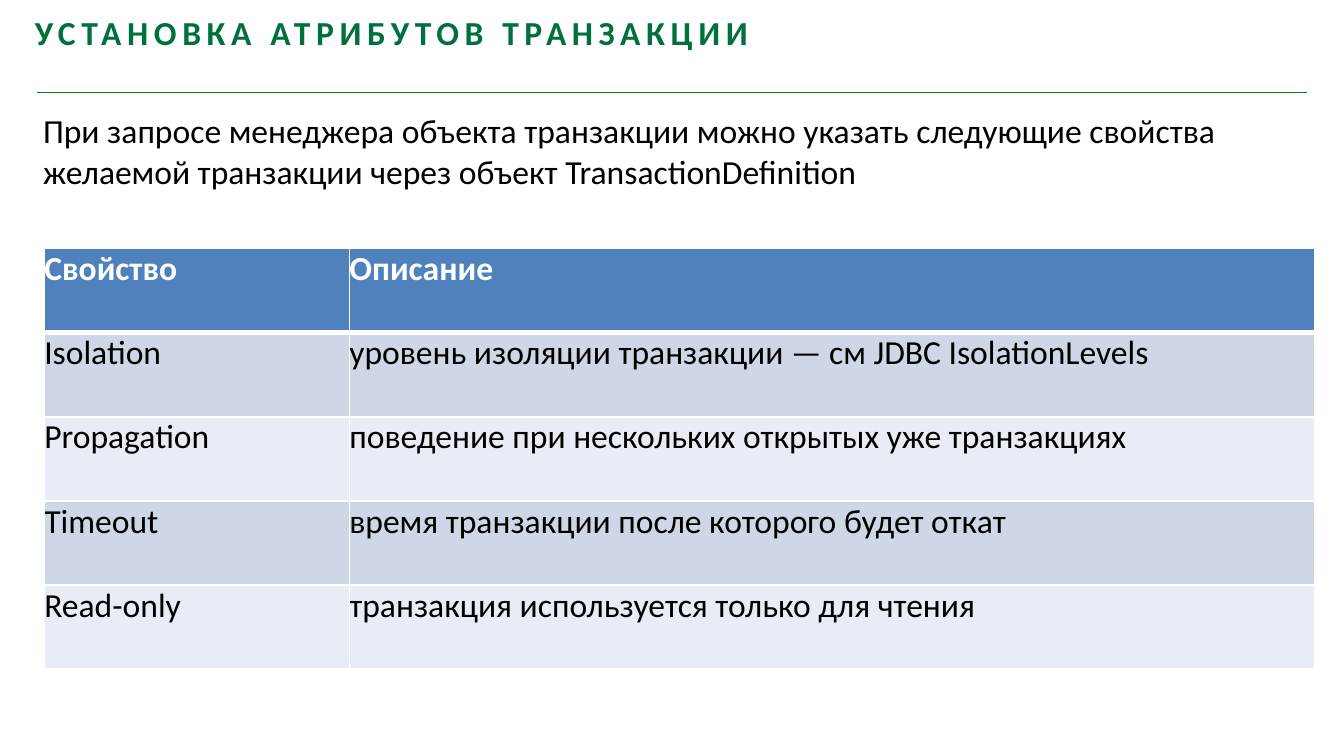
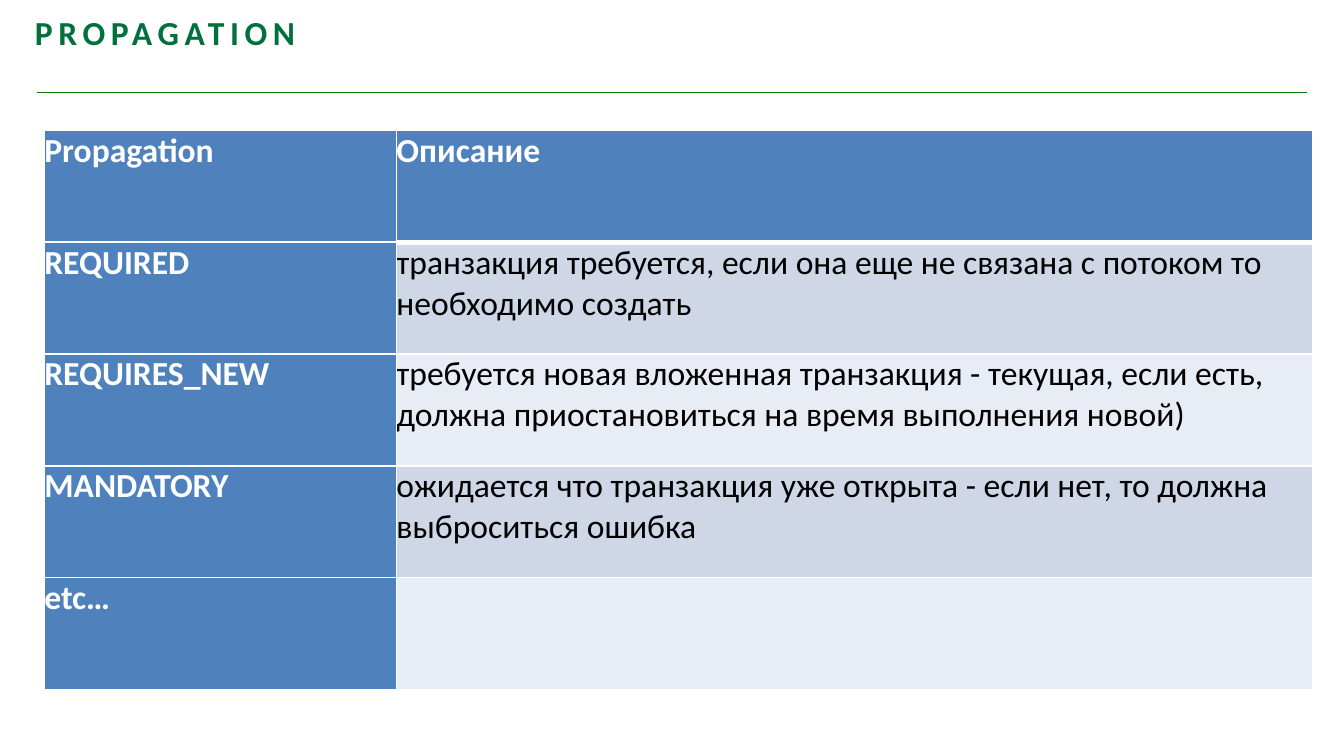
from lxml.etree import SubElement
from pptx import Presentation
from pptx.dml.color import RGBColor
from pptx.enum.shapes import MSO_CONNECTOR
from pptx.enum.text import MSO_ANCHOR, MSO_AUTO_SIZE, PP_ALIGN
from pptx.oxml.ns import qn
from pptx.util import Inches, Pt

SLIDE_WIDTH = 10
SLIDE_HEIGHT = SLIDE_WIDTH * 9 / 16
FONT = "Calibri"
TITLE_GREEN = "00703C"
RULE_GREEN = "008000"
BLACK = "000000"
WHITE = "FFFFFF"
HEADER_BLUE = "4F81BD"
BANDS = ("CFD7E7", "E8ECF4")
TABLE_LEFT = 0.33

PROPERTIES = [
    ("Свойство", "Описание"),
    ("Isolation", "уровень изоляции транзакции — см JDBC IsolationLevels"),
    ("Propagation", "поведение при нескольких открытых уже транзакциях"),
    ("Timeout", "время транзакции после которого будет откат"),
    ("Read-only", "транзакция используется только для чтения"),
]
PROPAGATION_MODES = [
    ("Propagation", "Описание"),
    ("REQUIRED\n", "транзакция требуется, если она еще не связана с потоком то "
                   "необходимо создать"),
    ("REQUIRES_NEW", "требуется новая вложенная транзакция - текущая, если есть, "
                     "должна приостановиться на время выполнения новой)"),
    ("MANDATORY\n", "ожидается что транзакция уже открыта - если нет, то должна "
                    "выброситься ошибка"),
    ("etc…", ""),
]


def rgb(value):
    return RGBColor.from_string(value)


def set_margins(target, inset):
    for side in ("left", "top", "right", "bottom"):
        setattr(target, f"margin_{side}", Inches(inset))


def write(frame, text, color, bold=False, space_before=20):
    """Fill the first paragraph, with a line break for each newline."""
    para = frame.paragraphs[0]
    para.alignment = PP_ALIGN.LEFT
    para.space_before = Pt(space_before)
    for index, line in enumerate(text.split("\n")):
        if index:
            para.add_line_break()
        if line:
            span = para.add_run()
            span.text = line
            values = {"name": FONT, "size": Pt(18), "bold": bold}
            for name, value in values.items():
                setattr(span.font, name, value)
            span.font.color.rgb = rgb(color)
    return para


def place(box, left, top, width, height):
    lengths = {"left": left, "top": top, "width": width, "height": height}
    for name, value in lengths.items():
        setattr(box, name, Inches(value))


def add_rule(page):
    """Draw the thin line under the title."""
    rule = page.shapes.add_connector(
        MSO_CONNECTOR.STRAIGHT,
        Inches(0.28), Inches(0.69), Inches(9.72), Inches(0.69))
    rule.line.color.rgb = rgb(RULE_GREEN)
    rule.line.width = Pt(0.75)
    rule.element.spPr.find(qn("a:ln")).set("cap", "sq")
    SubElement(rule.element.spPr, qn("a:effectLst"))


def add_page(deck, title):
    page = deck.slides.add_slide(deck.slide_layouts[5])
    add_rule(page)
    box = page.shapes.title
    place(box, 0.26, 0.09, 7.17, 0.6)
    frame = box.text_frame
    settings = {"word_wrap": True, "auto_size": MSO_AUTO_SIZE.NONE,
                "vertical_anchor": MSO_ANCHOR.TOP}
    for name, value in settings.items():
        setattr(frame, name, value)
    set_margins(frame, 0)
    para = write(frame, title, TITLE_GREEN, bold=True, space_before=4)
    para.runs[0].font._element.set("spc", "300")
    return page


def add_intro(page, text):
    box = page.shapes.add_textbox(
        Inches(0.27), Inches(0.77), Inches(9.68), Inches(0.68))
    box.text_frame.word_wrap = True
    set_margins(box.text_frame, 0.05)
    write(box.text_frame, text, BLACK)


def set_borders(cell, top, bottom):
    properties = cell._tc.get_or_add_tcPr()
    for side, width in {"L": 1, "R": 1, "T": top, "B": bottom}.items():
        line = SubElement(properties, qn(f"a:ln{side}"), w=str(Pt(width)))
        fill = SubElement(line, qn("a:solidFill"))
        SubElement(fill, qn("a:srgbClr"), val=WHITE)


def add_table(page, top, widths, height, rows, header_column=False):
    table = page.shapes.add_table(
        len(rows), len(widths), Inches(TABLE_LEFT), Inches(top),
        Inches(sum(widths)), Inches(height)).table
    for column, width in zip(table.columns, widths):
        column.width = Inches(width)
    for row_index, row in enumerate(rows):
        table.rows[row_index].height = Inches(height / len(rows))
        for column_index, text in enumerate(row):
            is_label = header_column and column_index == 0
            is_header = row_index == 0 or is_label
            header_edge = 1 if is_label else 3
            cell = table.cell(row_index, column_index)
            set_margins(cell, 0)
            set_borders(cell,
                        top=header_edge if row_index == 1 else 1,
                        bottom=header_edge if row_index == 0 else 1)
            cell.fill.solid()
            cell.fill.fore_color.rgb = rgb(
                HEADER_BLUE if is_header else BANDS[(row_index - 1) % 2])
            if text:
                write(cell.text_frame, text, WHITE if is_header else BLACK,
                      bold=is_header)


def main():
    deck = Presentation()
    deck.slide_width = Inches(SLIDE_WIDTH)
    deck.slide_height = Inches(SLIDE_HEIGHT)

    page = add_page(deck, "УСТАНОВКА АТРИБУТОВ ТРАНЗАКЦИИ")
    add_intro(page, "При запросе менеджера объекта транзакции можно указать "
                    "следующие свойства желаемой транзакции через объект "
                    "TransactionDefinition")
    add_table(page, 1.85, (2.27, 7.18), 3.13, PROPERTIES)

    page = add_page(deck, "PROPAGATION")
    add_table(page, 0.97, (2.62, 6.82), 4.16, PROPAGATION_MODES,
              header_column=True)

    deck.save("out.pptx")


if __name__ == "__main__":
    main()
